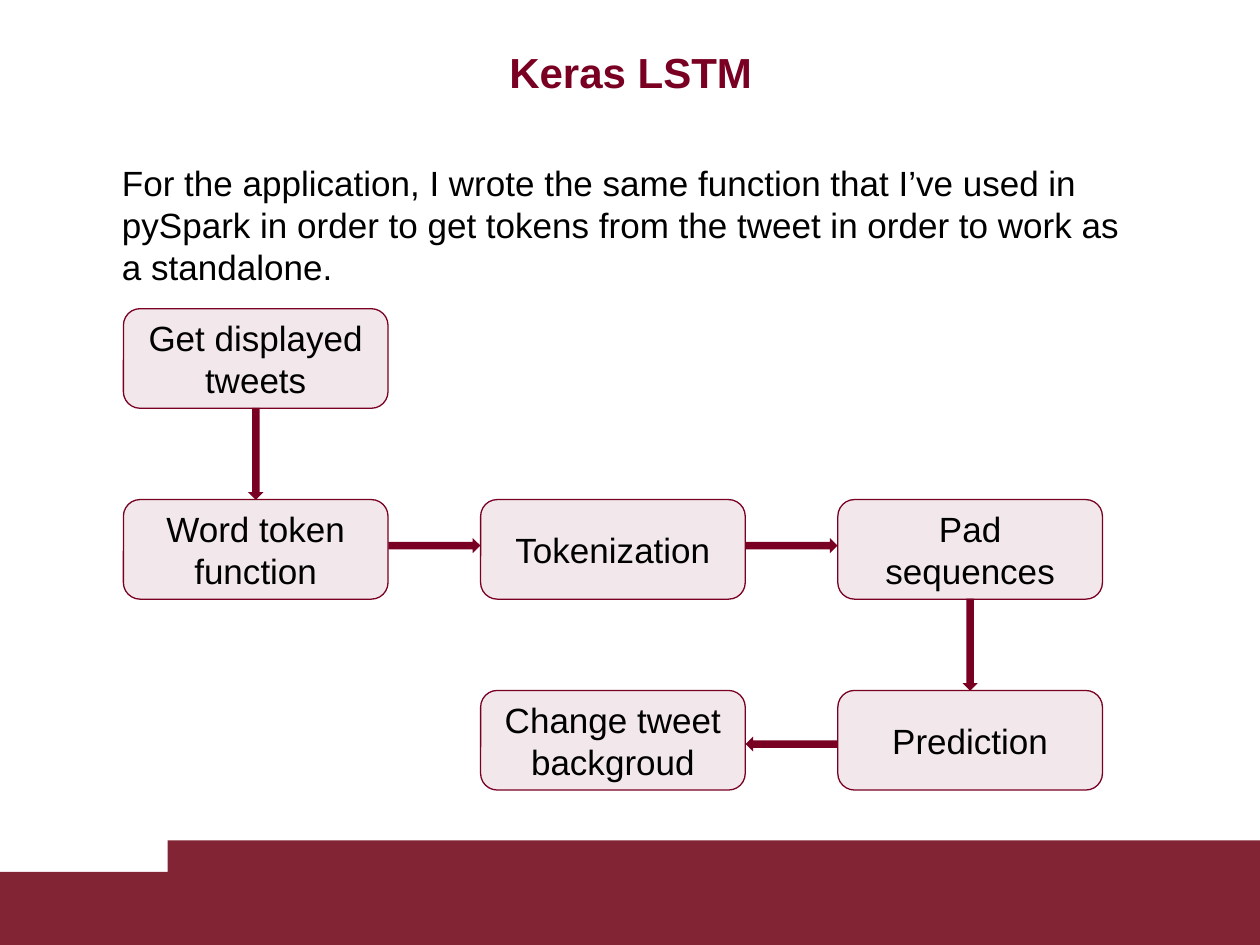
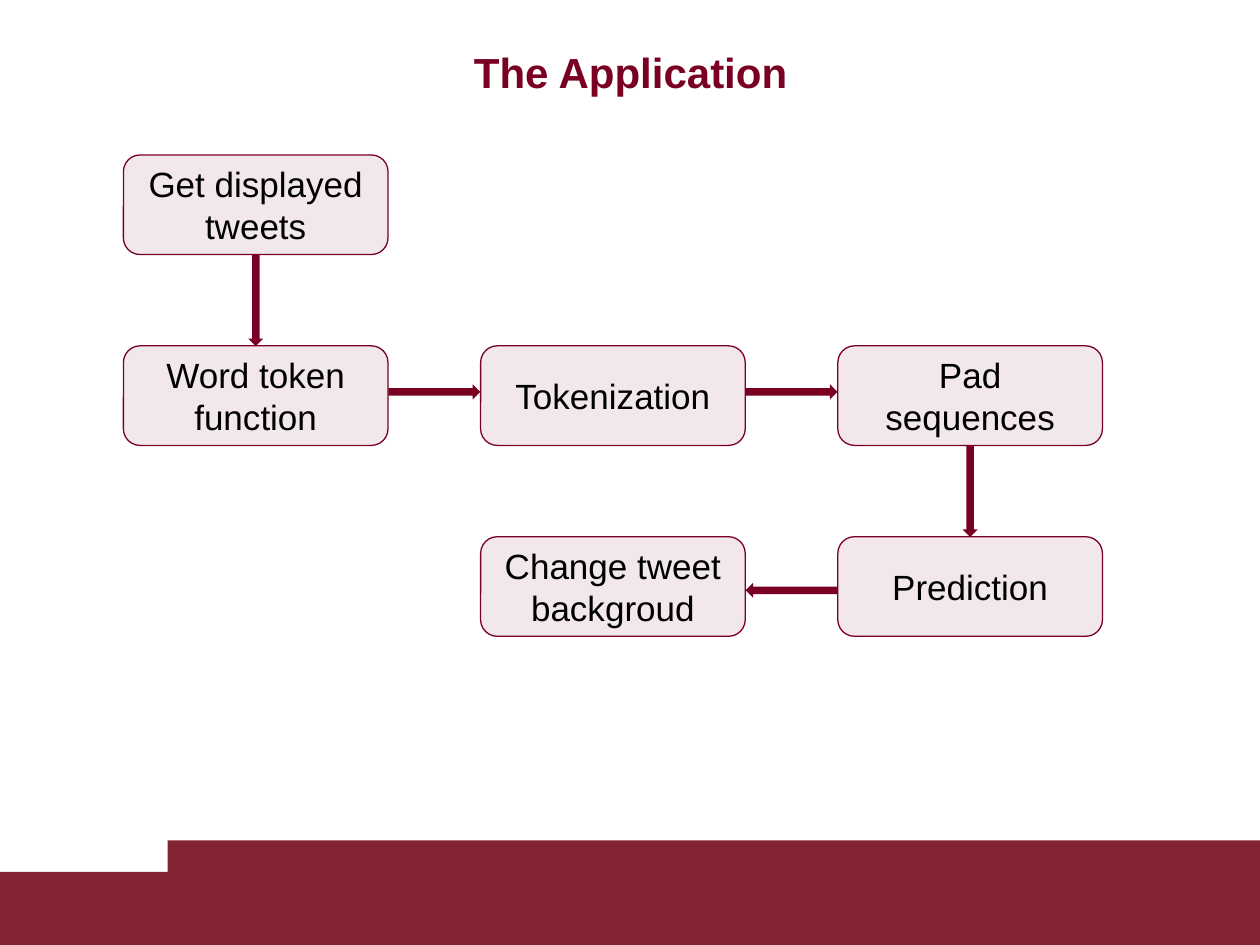
from lxml.etree import SubElement
from pptx import Presentation
from pptx.dml.color import RGBColor
from pptx.enum.shapes import MSO_SHAPE
from pptx.enum.text import MSO_ANCHOR, PP_ALIGN
from pptx.oxml.ns import qn
from pptx.util import Inches, Pt

# Shared style
FONT = "Arial"
WINE, BAND, BLACK = "790022", "822433", "000000"
TINT_ALPHA = 9

# Flow grid
LEFT, COLUMN_STEP, ROW_STEP = 0.98, 2.835, 1.515
BOX_WIDTH, BOX_HEIGHT = 2.1, 0.79
ARROW_LENGTH, ARROW_HEIGHT = 0.73, 0.12

# Steps as (label, column, row)
STEPS = [
    ("Get displayed tweets", 0, 0),
    ("Word token function", 0, 1),
    ("Tokenization", 1, 1),
    ("Pad sequences", 2, 1),
    ("Prediction", 2, 2),
    ("Change tweet backgroud", 1, 2),
]
SLIDES = [
    ("Keras LSTM",
     "For the application, I wrote the same function that I’ve used in pySpark "
     "in order to get tokens from the tweet in order to work as a standalone.",
     2.45),
    ("The Application", None, 1.23),
]


def add_block(page, kind, left, top, width, height, color):
    block = page.shapes.add_shape(
        kind, Inches(left), Inches(top), Inches(width), Inches(height))
    block.shadow.inherit = False
    block.fill.solid()
    block.fill.fore_color.rgb = RGBColor.from_string(color)
    block.line.fill.background()
    return block


def write(box, text, size, color, align, bold=False):
    frame = box.text_frame
    frame.word_wrap = True
    frame.vertical_anchor = MSO_ANCHOR.MIDDLE
    para = frame.paragraphs[0]
    para.alignment = align
    span = para.add_run()
    span.text = text
    span.font.name = FONT
    span.font.size = Pt(size)
    span.font.bold = bold
    span.font.color.rgb = RGBColor.from_string(color)


deck = Presentation()
deck.slide_width, deck.slide_height = Inches(10), Inches(7.5)

for title, intro, flow_top in SLIDES:
    page = deck.slides.add_slide(deck.slide_layouts[6])

    # Stepped footer band
    add_block(page, MSO_SHAPE.RECTANGLE, 0, 6.92, 10, 0.58, BAND)
    add_block(page, MSO_SHAPE.RECTANGLE, 1.33, 6.67, 8.67, 0.83, BAND)

    # Title and introduction
    box = page.shapes.add_textbox(
        Inches(0.87), Inches(0.29), Inches(8.27), Inches(0.55))
    write(box, title, 24, WINE, PP_ALIGN.CENTER, bold=True)
    if intro:
        box = page.shapes.add_textbox(
            Inches(0.87), Inches(1.23), Inches(8.27), Inches(1.1))
        write(box, intro, 20, BLACK, PP_ALIGN.LEFT)

    # Step boxes with a light tint
    for label, column, row in STEPS:
        step = add_block(page, MSO_SHAPE.ROUNDED_RECTANGLE,
                         LEFT + column * COLUMN_STEP, flow_top + row * ROW_STEP,
                         BOX_WIDTH, BOX_HEIGHT, WINE)
        tint = step.fill._xPr.find(qn("a:solidFill"))[0]
        SubElement(tint, qn("a:alpha"), val=str(TINT_ALPHA * 1000))
        step.line.color.rgb = RGBColor.from_string(WINE)
        step.line.width = Pt(0.75)
        write(step, label, 20, BLACK, PP_ALIGN.CENTER)

    # Arrows midway between each step and the next
    for (_, column, row), (_, next_column, next_row) in zip(STEPS, STEPS[1:]):
        center_x = LEFT + (column + next_column) / 2 * COLUMN_STEP + BOX_WIDTH / 2
        center_y = flow_top + (row + next_row) / 2 * ROW_STEP + BOX_HEIGHT / 2
        if row == next_row:  # level arrows sit just off the box centre
            center_y += 0.03 if next_column < column else -0.03
        arrow = add_block(page, MSO_SHAPE.RIGHT_ARROW,
                          center_x - ARROW_LENGTH / 2, center_y - ARROW_HEIGHT / 2,
                          ARROW_LENGTH, ARROW_HEIGHT, WINE)
        if next_row > row:
            arrow.rotation = 90
        elif next_column < column:
            arrow.rotation = 180

deck.save("out.pptx")
